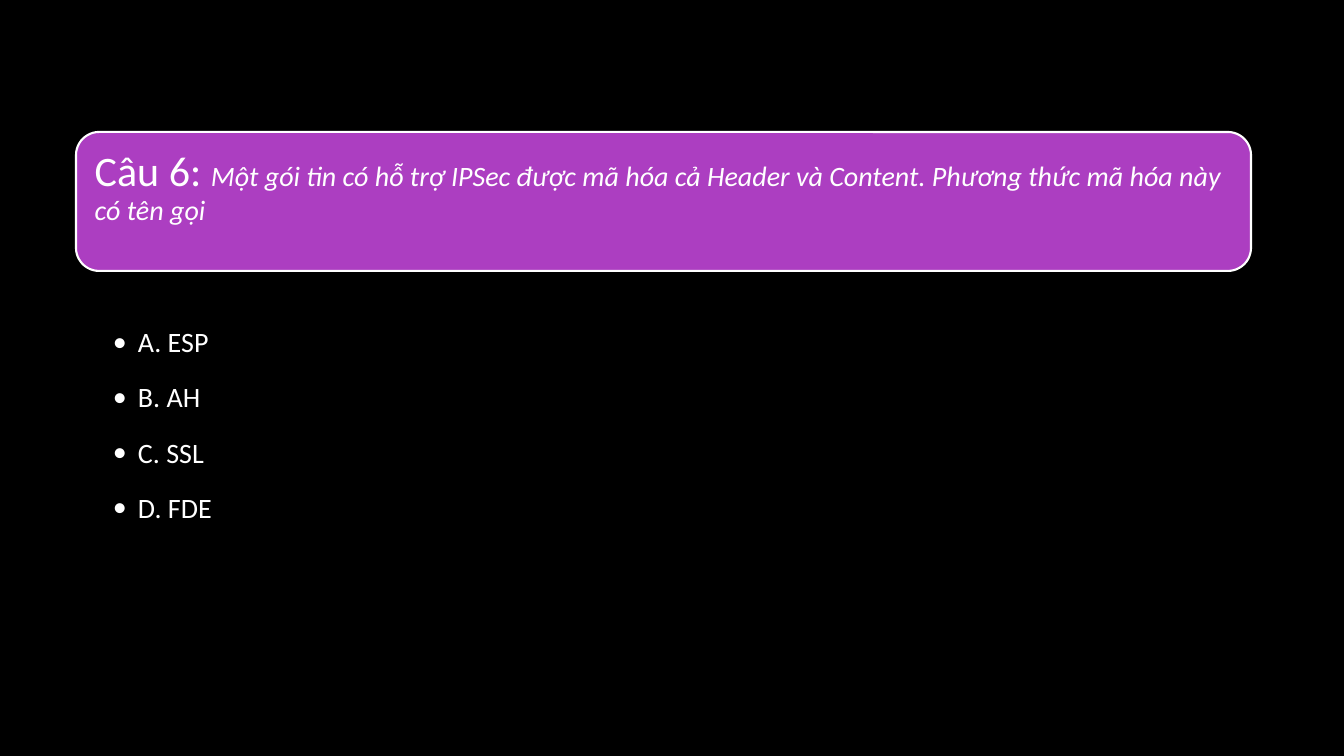
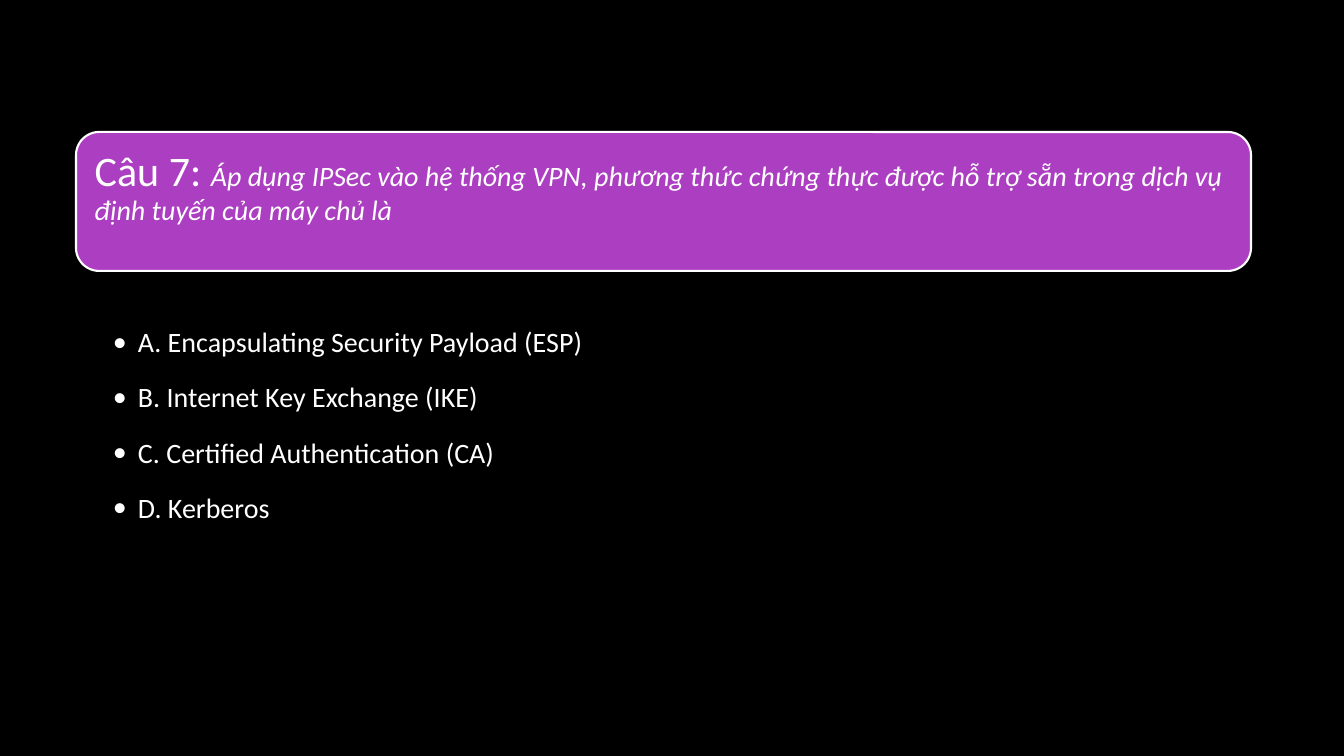
from dataclasses import dataclass

from lxml.etree import SubElement
from pptx import Presentation
from pptx.dml.color import RGBColor
from pptx.enum.shapes import MSO_SHAPE
from pptx.enum.text import MSO_ANCHOR, PP_ALIGN
from pptx.oxml.ns import qn
from pptx.util import Pt

PX = 12192000 // 1344
LEFT, WIDTH = 76, 1175

QUIZ = [
    (
        "Câu 6: ",
        "Một gói tin có hỗ trợ IPSec được mã hóa cả Header và Content. "
        "Phương thức mã hóa này có tên gọi",
        ["A. ESP", "B. AH", "C. SSL", "D. FDE"],
    ),
    (
        "Câu 7: ",
        "Áp dụng IPSec vào hệ thống VPN, phương thức chứng thực được hỗ trợ "
        "sẵn trong dịch vụ định tuyến của máy chủ là",
        [
            "A. Encapsulating Security Payload (ESP)",
            "B. Internet Key Exchange (IKE)",
            "C. Certified Authentication (CA)",
            "D. Kerberos",
        ],
    ),
]


@dataclass(frozen=True)
class Theme:
    back: RGBColor = RGBColor(0x00, 0x00, 0x00)
    card: RGBColor = RGBColor(0xAC, 0x3E, 0xC1)
    ink: RGBColor = RGBColor(0xFF, 0xFF, 0xFF)
    font: str = "Calibri"
    label: int = 30
    body: int = 20


class Deck:
    def __init__(self, theme):
        self.theme = theme
        self.prs = Presentation()
        self.prs.slide_width = 1344 * PX
        self.prs.slide_height = 756 * PX
        self.slide = None

    def page(self):
        self.slide = self.prs.slides.add_slide(self.prs.slide_layouts[6])
        fill = self.slide.background.fill
        fill.solid()
        fill.fore_color.rgb = self.theme.back

    def frame(self, shape, left, top, right, bottom):
        """Wrap the text from the top, with margins in px."""
        text = shape.text_frame
        text.word_wrap = True
        text.vertical_anchor = MSO_ANCHOR.TOP
        text.margin_left, text.margin_top = left * PX, top * PX
        text.margin_right, text.margin_bottom = right * PX, bottom * PX
        return text

    def run(self, para, words, size, italic=False):
        run = para.add_run()
        run.text = words
        font = run.font
        font.name, font.size, font.italic = self.theme.font, Pt(size), italic
        font.color.rgb = self.theme.ink

    def bullet(self, para):
        props = para._p.get_or_add_pPr()
        props.set("marL", str(25 * PX))
        props.set("indent", str(-25 * PX))
        SubElement(props, qn("a:buFont"), typeface=self.theme.font)
        SubElement(props, qn("a:buChar"), char="•")
        para.font.size = Pt(self.theme.body)
        para.font.color.rgb = self.theme.ink

    def question(self, label, words):
        card = self.slide.shapes.add_shape(
            MSO_SHAPE.ROUNDED_RECTANGLE, LEFT * PX, 132 * PX, WIDTH * PX, 139 * PX
        )
        card.shadow.inherit = False
        card.fill.solid()
        card.fill.fore_color.rgb = self.theme.card
        card.line.color.rgb = self.theme.ink
        card.line.width = Pt(1.5)
        para = self.frame(card, 12, 12, 12, 12).paragraphs[0]
        para.alignment = PP_ALIGN.LEFT
        para.line_spacing = 0.9
        self.run(para, label, self.theme.label)
        self.run(para, words, self.theme.body, italic=True)

    def choices(self, items):
        box = self.slide.shapes.add_textbox(
            LEFT * PX, 305 * PX, WIDTH * PX, 260 * PX
        )
        text = self.frame(box, 37, 3, 16, 3)
        for i, item in enumerate(items):
            para = text.add_paragraph() if i else text.paragraphs[0]
            para.line_spacing = 1.5
            para.space_after = Pt(3.4)
            self.bullet(para)
            self.run(para, item, self.theme.body)


def main():
    deck = Deck(Theme())
    for label, words, items in QUIZ:
        deck.page()
        deck.question(label, words)
        deck.choices(items)
    deck.prs.save("out.pptx")


if __name__ == "__main__":
    main()
